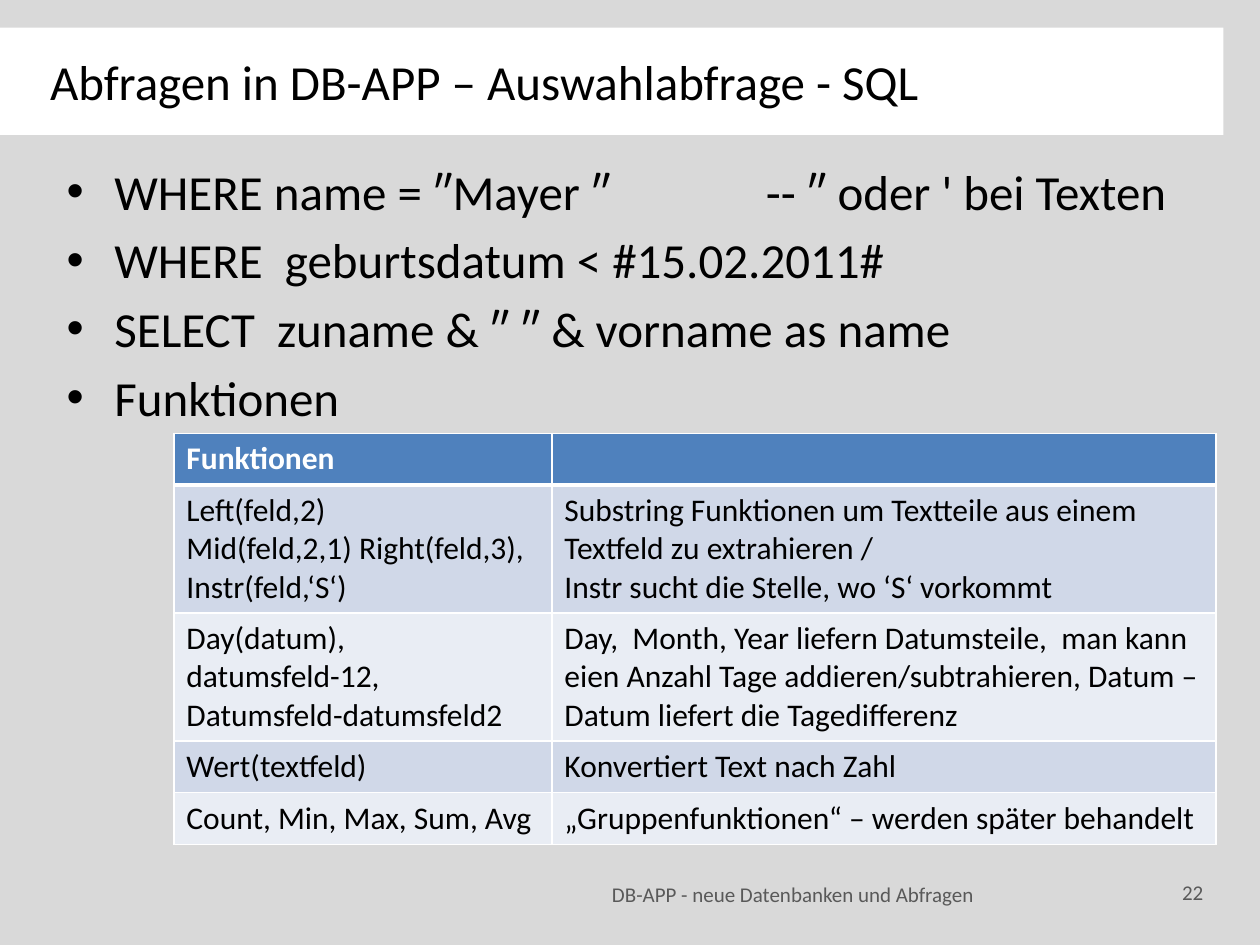
"""Build the slide on select queries and SQL functions."""
from lxml.etree import SubElement
from pptx import Presentation
from pptx.dml.color import RGBColor
from pptx.enum.shapes import MSO_SHAPE
from pptx.enum.text import MSO_ANCHOR, PP_ALIGN
from pptx.oxml.ns import qn
from pptx.util import Inches, Pt

WHITE = RGBColor(0xFF, 0xFF, 0xFF)
BLACK = RGBColor(0x00, 0x00, 0x00)
GRAY = RGBColor(0x59, 0x59, 0x59)
BACKDROP = RGBColor(0xD9, 0xD9, 0xD9)
BLUE = RGBColor(0x4F, 0x81, 0xBD)
BANDS = (RGBColor(0xE9, 0xED, 0xF4), RGBColor(0xD0, 0xD8, 0xE8))

TITLE = "Abfragen in DB-APP – Auswahlabfrage - SQL"
FOOTER = "DB-APP - neue Datenbanken und Abfragen"
BULLETS = [
    "WHERE name = ″Mayer ″\t-- ″ oder ' bei Texten",
    "WHERE  geburtsdatum < #15.02.2011#",
    "SELECT  zuname & ″ ″ & vorname as name",
    "Funktionen",
]
FUNCTIONS = [
    (["Funktionen"], []),
    (["Left(feld,2)\tMid(feld,2,1) Right(feld,3), \vInstr(feld,‘S‘)"],
     ["Substring Funktionen um Textteile aus einem Textfeld zu extrahieren / "
      "\vInstr sucht die Stelle, wo ‘S‘ vorkommt"]),
    (["Day(datum), \vdatumsfeld-12,", "Datumsfeld-datumsfeld2"],
     ["Day,  Month, Year liefern Datumsteile,  man kann eien Anzahl Tage "
      "addieren/subtrahieren, Datum – Datum liefert die Tagedifferenz"]),
    (["Wert(textfeld)"], ["Konvertiert Text nach Zahl"]),
    (["Count, Min, Max, Sum, Avg"],
     ["„Gruppenfunktionen“ – werden später behandelt"]),
]


def write(frame, lines, size=18, color=BLACK, bold=False, align=PP_ALIGN.LEFT,
          indent=0, bullet=None, gap=0, tab=None):
    """Fill a text frame with one formatted paragraph per line."""
    for index, line in enumerate(lines):
        para = frame.add_paragraph() if index else frame.paragraphs[0]
        para.text = line
        para.alignment = align
        para.space_after = Pt(gap)
        for span in para.runs:
            span.font.name = "Calibri"
            span.font.size = Pt(size)
            span.font.bold = bold
            span.font.color.rgb = color
        props = para._p.get_or_add_pPr()
        props.set("marL", str(indent))
        props.set("indent", str(-indent if bullet else 0))
        if bullet:
            SubElement(props, qn("a:buFont"), typeface="Arial")
            SubElement(props, qn("a:buChar"), char=bullet)
        if tab and "\t" in line:
            stops = SubElement(props, qn("a:tabLst"))
            SubElement(stops, qn("a:tab"), pos=str(tab), algn="l")


class SlideBuilder:
    """Hold the deck, its grid and the current slide."""

    def __init__(self, columns=100, rows=75):
        """Start a deck with one blank slide on a fine grid."""
        self.deck = Presentation()
        self.deck.slide_width = Inches(10)
        self.deck.slide_height = Inches(7.5)
        self.column = self.deck.slide_width / columns
        self.row = self.deck.slide_height / rows
        self.page = self.deck.slides.add_slide(self.deck.slide_layouts[6])
        self.page.background.fill.solid()
        self.page.background.fill.fore_color.rgb = BACKDROP

    def across(self, columns):
        """Turn grid columns into a length."""
        return round(columns * self.column)

    def down(self, rows):
        """Turn grid rows into a length."""
        return round(rows * self.row)

    def place(self, left, top, width, height):
        """Turn a grid area into four lengths."""
        return (self.across(left), self.down(top),
                self.across(width), self.down(height))

    def title(self, area, text, **style):
        """Add the white title bar."""
        bar = self.page.shapes.add_shape(MSO_SHAPE.RECTANGLE, *self.place(*area))
        bar.shadow.inherit = False
        bar.fill.solid()
        bar.fill.fore_color.rgb = WHITE
        bar.line.fill.background()
        bar.text_frame.vertical_anchor = MSO_ANCHOR.MIDDLE
        write(bar.text_frame, [text], **style)

    def text(self, area, lines, anchor=MSO_ANCHOR.MIDDLE, **style):
        """Add a wrapping text box."""
        box = self.page.shapes.add_textbox(*self.place(*area))
        box.text_frame.word_wrap = True
        box.text_frame.vertical_anchor = anchor
        box.text_frame.margin_right = 0
        write(box.text_frame, lines, **style)

    def border(self, cell, **widths):
        """Draw white cell borders of the given widths."""
        props = cell._tc.get_or_add_tcPr()
        for side, width in widths.items():
            line = SubElement(props, qn(f"a:ln{side}"), w=str(Pt(width)))
            fill = SubElement(line, qn("a:solidFill"))
            SubElement(fill, qn("a:srgbClr"), val=str(WHITE))

    def table(self, left, top, widths, heights, content, **style):
        """Add a banded table with a header row."""
        area = self.place(left, top, sum(widths), sum(heights))
        grid = self.page.shapes.add_table(len(heights), len(widths), *area).table
        for column, width in zip(grid.columns, widths):
            column.width = self.across(width)
        for r, (height, entries) in enumerate(zip(heights, content)):
            grid.rows[r].height = self.down(height)
            header = r == 0
            for c, lines in enumerate(entries):
                cell = grid.cell(r, c)
                self.border(cell, L=1, R=1, T=3 if r == 1 else 1,
                            B=3 if header else 1)
                cell.fill.solid()
                cell.fill.fore_color.rgb = BLUE if header else BANDS[r % 2]
                write(cell.text_frame, lines or [""], bold=header,
                      color=WHITE if header else BLACK, **style)


def main():
    """Compose and save the slide."""
    slide = SlideBuilder()
    slide.table(13.8, 34.4, (30, 52.7), (4.1, 10.1, 10.1, 4.1, 4.1), FUNCTIONS,
                tab=slide.across(12.8))
    slide.title((0, 2.2, 97.1, 8.5), TITLE, size=28, indent=slide.across(3))
    small = {"size": 12, "color": GRAY, "align": PP_ALIGN.RIGHT}
    slide.text((43.7, 69, 33.6, 4), [FOOTER], **small)
    slide.text((90.6, 68.8, 4.9, 4), ["22"], **small)
    slide.text((4.3, 12.3, 92.1, 54.7), BULLETS, anchor=MSO_ANCHOR.TOP, size=28,
               indent=slide.across(3.8), bullet="•", gap=5.6,
               tab=slide.across(55.5))
    slide.deck.save("out.pptx")


if __name__ == "__main__":
    main()
